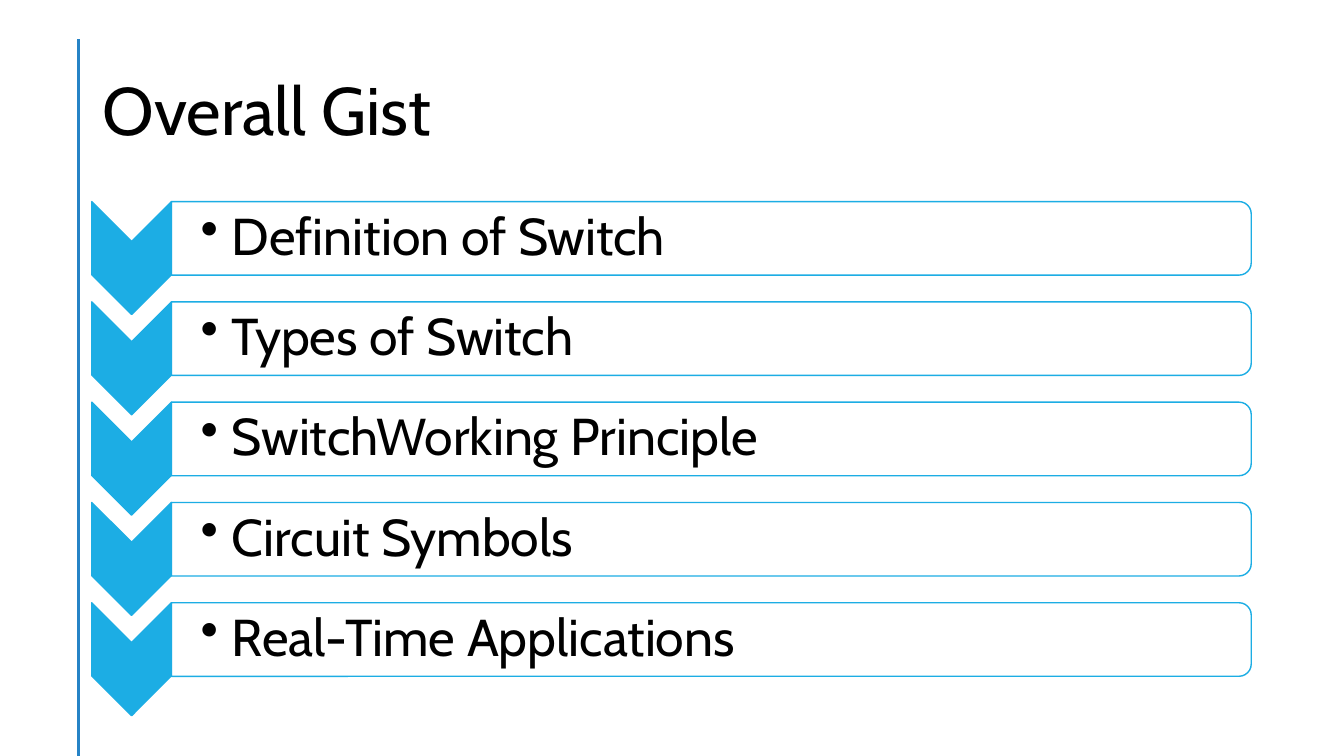
"""Build the Overall Gist slide: a chevron list of five topics."""
from lxml import etree
from pptx import Presentation
from pptx.dml.color import RGBColor
from pptx.enum.shapes import MSO_CONNECTOR, MSO_SHAPE
from pptx.enum.text import MSO_ANCHOR
from pptx.oxml.ns import qn
from pptx.util import Inches, Pt

TITLE = "Overall Gist"
TOPICS = [
    "Definition of Switch",
    "Types of Switch",
    "SwitchWorking Principle",
    "Circuit Symbols",
    "Real-Time Applications",
]

FONT = "Cabin"
BLACK = RGBColor(0x00, 0x00, 0x00)
WHITE = RGBColor(0xFF, 0xFF, 0xFF)
SKY = RGBColor(0x1C, 0xAD, 0xE4)
RULE_BLUE = RGBColor(0x26, 0x83, 0xC6)
STRAIGHT = MSO_CONNECTOR.STRAIGHT
CHEVRON = MSO_SHAPE.CHEVRON
ROUND_TOP = MSO_SHAPE.ROUND_2_SAME_RECTANGLE
MIDDLE = MSO_ANCHOR.MIDDLE

WIDTH, HEIGHT = 13.33, 7.5
RULE_X, RULE_TOP = 0.78, 0.39
LIST_LEFT, LIST_TOP, ROW_PITCH = 0.91, 2.0, 0.995
CHEVRON_WIDTH, CHEVRON_HEIGHT = 0.79, 1.12
BAR_LEFT = LIST_LEFT + CHEVRON_WIDTH
BAR_WIDTH, BAR_HEIGHT = 10.71, 0.73
LABEL_WIDTH, LABEL_HEIGHT = 10.68, 0.66


def add_text(slide, text, left, top, width, height, size,
             insets=(0.1, 0.05, 0.1, 0.05), bullet=None, hang=0.31):
    box = slide.shapes.add_textbox(*map(Inches, (left, top, width, height)))
    frame = box.text_frame
    frame.word_wrap = True
    frame.vertical_anchor = MIDDLE
    (frame.margin_left, frame.margin_top,
     frame.margin_right, frame.margin_bottom) = map(Inches, insets)
    para = frame.paragraphs[0]
    para.line_spacing = 0.9
    span = para.add_run()
    span.text = text
    span.font.name = FONT
    span.font.size = Pt(size)
    span.font.color.rgb = BLACK
    if bullet:
        properties = para._p.get_or_add_pPr()
        properties.set("marL", str(Inches(hang)))
        properties.set("indent", str(-Inches(hang)))
        etree.SubElement(properties, qn("a:buChar")).set("char", bullet)


def add_turned(slide, kind, left, top, width, height, fill):
    """Add a preset turned by 90 degrees that covers the given area."""
    shape = slide.shapes.add_shape(
        kind, Inches(left + (width - height) / 2),
        Inches(top + (height - width) / 2), Inches(height), Inches(width))
    shape.rotation = 90
    shape.shadow.inherit = False
    shape.fill.solid()
    shape.fill.fore_color.rgb = fill
    shape.line.color.rgb = SKY
    shape.line.width = Pt(1)
    return shape


def add_rule(slide):
    rule = slide.shapes.add_connector(
        STRAIGHT, Inches(RULE_X), Inches(RULE_TOP), Inches(RULE_X), Inches(HEIGHT))
    rule.line.color.rgb = RULE_BLUE
    rule.line.width = Pt(2)
    etree.SubElement(rule._element.spPr, qn("a:effectLst"))


def add_topic(slide, row, topic):
    top = LIST_TOP + row * ROW_PITCH
    add_turned(slide, CHEVRON, LIST_LEFT, top, CHEVRON_WIDTH, CHEVRON_HEIGHT, SKY)
    bar = add_turned(slide, ROUND_TOP, BAR_LEFT, top, BAR_WIDTH, BAR_HEIGHT, WHITE)
    color = bar.fill._xPr.find(qn("a:solidFill"))[0]
    etree.SubElement(color, qn("a:alpha")).set("val", "90000")
    add_text(slide, topic, BAR_LEFT, top + (BAR_HEIGHT - LABEL_HEIGHT) / 2,
             LABEL_WIDTH, LABEL_HEIGHT, 37,
             insets=(0.29, 0.03, 0.03, 0.03), bullet="•")


def main():
    deck = Presentation()
    deck.slide_width, deck.slide_height = Inches(WIDTH), Inches(HEIGHT)
    page = deck.slides.add_slide(deck.slide_layouts[6])
    add_rule(page)
    add_text(page, TITLE, 0.92, 0.4, 11.5, 1.45, 48)
    for row, topic in enumerate(TOPICS):
        add_topic(page, row, topic)
    deck.save("out.pptx")


if __name__ == "__main__":
    main()
